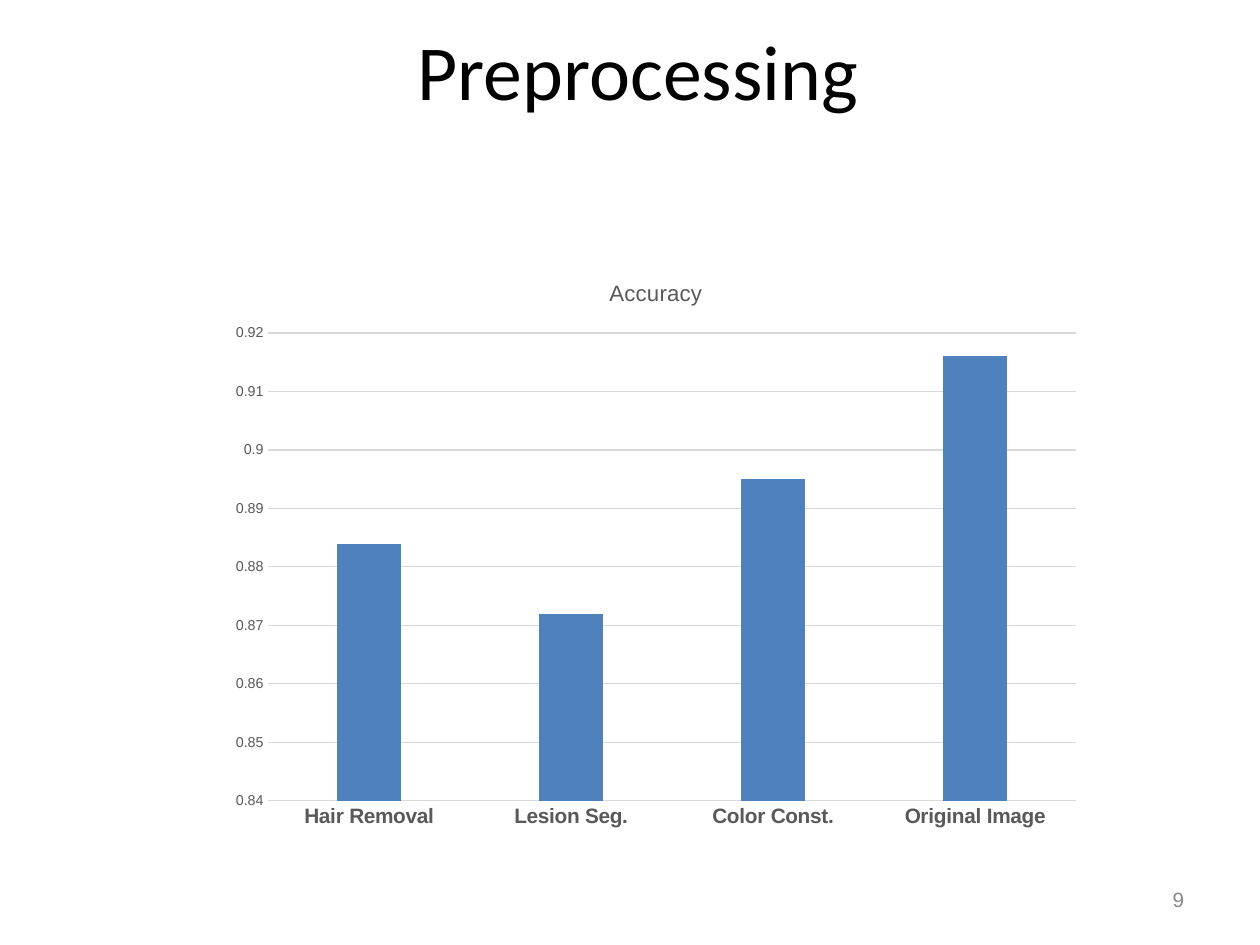
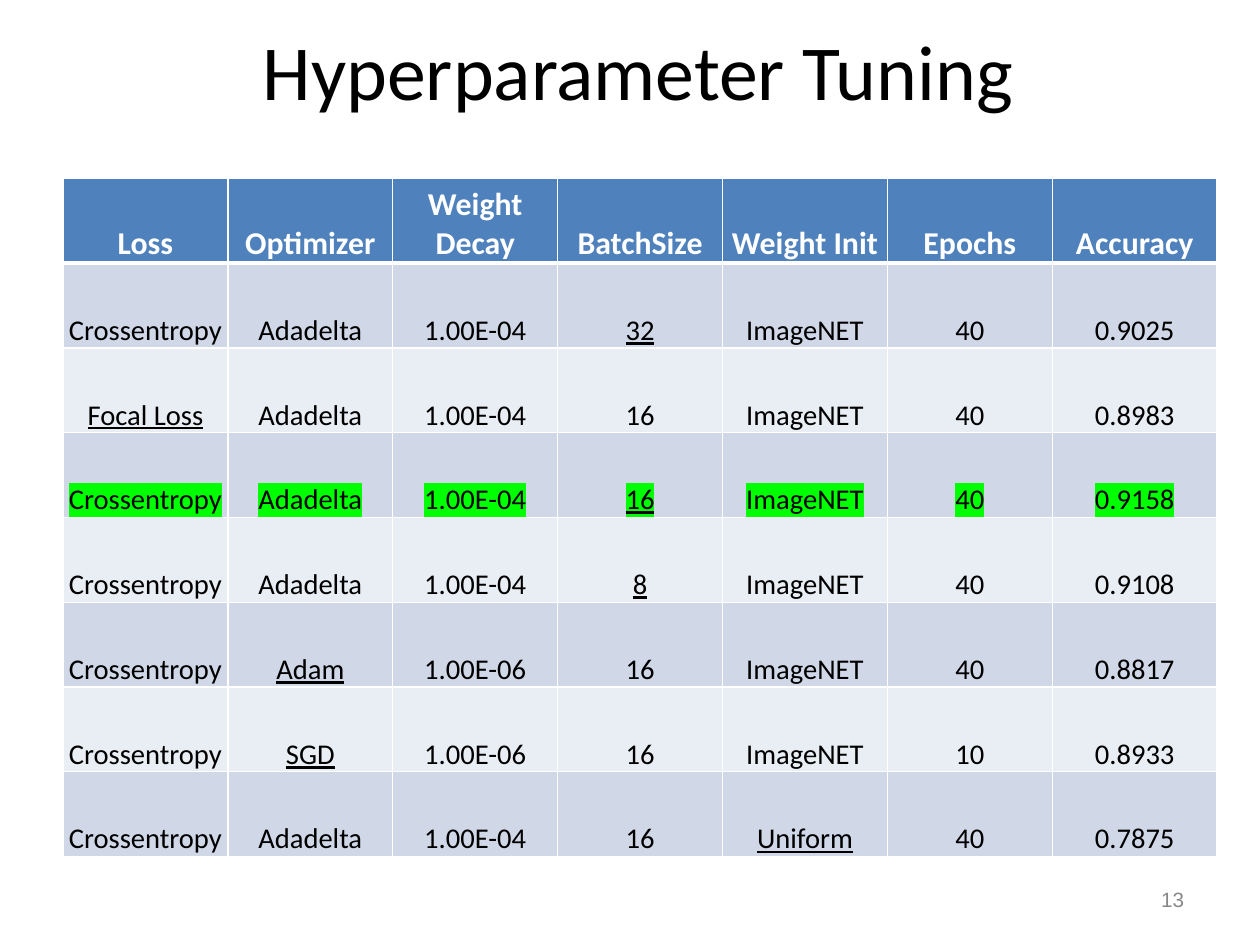
from lxml import etree
from pptx import Presentation
from pptx import util as u
from pptx.chart import data as chart_data
from pptx.dml.color import RGBColor
from pptx.enum import chart as chart_kinds
from pptx.enum import text
from pptx.oxml import ns

WIDTH, HEIGHT = u.Cm(28), u.Cm(21)
COLORS = {
    "page": "FFFFFF",
    "ink": "000000",
    "number": "888888",
    "label": "595959",
    "grid": "D9D9D9",
    "accent": "4F81BD",
    "odd": "D0D8E8",
    "even": "E9EDF4",
    "marker": "00FF00",
}
HEADING, BODY = "Calibri", "Arial"

# Left, top, width and height in percent of the slide
TITLE_AREA = (5.62, 2.42, 90, 9.92)
NUMBER_AREA = (71.66, 92.67, 23.31, 5.32)
CHART_AREA = (17.33, 27.2, 69.46, 61.65)
TABLE_AREA = (5, 18.87, 91.6, 71.8)

ACCURACY = {
    "Hair Removal": 0.884,
    "Lesion Seg.": 0.872,
    "Color Const.": 0.895,
    "Original Image": 0.916,
}
HEADERS = ["Loss", "Optimizer", "Weight Decay", "BatchSize",
           "Weight Init", "Epochs", "Accuracy"]
RUNS = [
    ["Crossentropy", "Adadelta", "1.00E-04", "32", "ImageNET", "40", "0.9025"],
    ["Focal Loss", "Adadelta", "1.00E-04", "16", "ImageNET", "40", "0.8983"],
    ["Crossentropy", "Adadelta", "1.00E-04", "16", "ImageNET", "40", "0.9158"],
    ["Crossentropy", "Adadelta", "1.00E-04", "8", "ImageNET", "40", "0.9108"],
    ["Crossentropy", "Adam", "1.00E-06", "16", "ImageNET", "40", "0.8817"],
    ["Crossentropy", "SGD", "1.00E-06", "16", "ImageNET", "10", "0.8933"],
    ["Crossentropy", "Adadelta", "1.00E-04", "16", "Uniform", "40", "0.7875"],
]
CHANGED_COLUMN = [3, 0, 3, 3, 1, 1, 4]  # the underlined setting of each run
BEST_RUN = 2


def color(name):
    return RGBColor.from_string(COLORS[name])


def place(area):
    """Turn percentages of the slide into lengths."""
    return [round(share * size / 100)
            for share, size in zip(area, (WIDTH, HEIGHT) * 2)]


def style_font(font, size, tone, face, bold=False):
    font.size, font.name, font.bold = u.Pt(size), face, bold
    font.color.rgb = color(tone)


def add_span(para, words, size, tone, face, bold=False):
    span = para.add_run()
    span.text = words
    style_font(span.font, size, tone, face, bold)
    return span


def add_text(page, area, words, size, tone, face, align):
    frame = page.shapes.add_textbox(*place(area)).text_frame
    frame.word_wrap = True
    frame.vertical_anchor = text.MSO_ANCHOR.MIDDLE
    frame.margin_left = frame.margin_right = u.Inches(0.11)
    frame.margin_top = frame.margin_bottom = u.Inches(0.06)
    para = frame.paragraphs[0]
    para.alignment = align
    add_span(para, words, size, tone, face)
    return para


def add_page(deck, title, number):
    page = deck.slides.add_slide(deck.slide_layouts[6])
    page.background.fill.solid()
    page.background.fill.fore_color.rgb = color("page")
    add_text(page, TITLE_AREA, title, 49, "ink", HEADING, text.PP_ALIGN.CENTER)
    para = add_text(page, NUMBER_AREA, str(number), 13, "number", BODY,
                    text.PP_ALIGN.RIGHT)
    para.line_spacing = 0.93
    return page


def style_line(line):
    line.color.rgb = color("grid")
    line.width = u.Pt(0.75)


def add_column_chart(page, title, values):
    data = chart_data.CategoryChartData()
    data.categories = list(values)
    data.add_series(title, list(values.values()))
    chart = page.shapes.add_chart(
        chart_kinds.XL_CHART_TYPE.COLUMN_CLUSTERED, *place(CHART_AREA), data).chart
    style_font(chart.font, 10, "ink", BODY)
    chart.has_legend = False
    chart.has_title = True
    add_span(chart.chart_title.text_frame.paragraphs[0], title, 14, "label", BODY)
    chart.chart_title.include_in_layout = False

    plot = chart.plots[0]
    plot.vary_by_categories = False
    plot.gap_width, plot.overlap = 219, -27
    columns = plot.series[0]
    columns.format.fill.solid()
    columns.format.fill.fore_color.rgb = color("accent")

    names, scale = chart.category_axis, chart.value_axis
    for axis, size, bold in ((names, 13.1, True), (scale, 9, False)):
        style_font(axis.tick_labels.font, size, "label", BODY, bold)
        axis.major_tick_mark = axis.minor_tick_mark = chart_kinds.XL_TICK_MARK.NONE
    style_line(names.format.line)
    scale.format.line.fill.background()
    scale.minimum_scale, scale.maximum_scale, scale.major_unit = 0.84, 0.92, 0.01
    scale.tick_labels.number_format = "General"
    scale.tick_labels.number_format_is_linked = False
    scale.has_major_gridlines = True
    style_line(scale.major_gridlines.format.line)


def add_solid(parent, tag, tone):
    node = etree.SubElement(parent, ns.qn(tag))
    etree.SubElement(node, ns.qn("a:srgbClr"), val=COLORS[tone])
    return node


def set_borders(cell, top, bottom):
    """Draw white cell borders; top and bottom are widths in points."""
    properties = cell._tc.get_or_add_tcPr()
    for side, width in (("L", 1), ("R", 1), ("T", top), ("B", bottom)):
        line = etree.SubElement(properties, ns.qn("a:ln" + side), w=str(u.Pt(width)))
        add_solid(line, "a:solidFill", "page")


def highlight(span):
    properties = span._r.get_or_add_rPr()
    marker = add_solid(properties, "a:highlight", "marker")
    properties.find(ns.qn("a:solidFill")).addnext(marker)


def fill_cell(cell, words, size, tone, fill, bold=False, top=1, bottom=1):
    set_borders(cell, top, bottom)
    cell.fill.solid()
    cell.fill.fore_color.rgb = color(fill)
    cell.vertical_anchor = text.MSO_ANCHOR.BOTTOM
    cell.margin_left = cell.margin_right = cell.margin_top = u.Inches(0.01)
    cell.margin_bottom = 0
    para = cell.text_frame.paragraphs[0]
    para.alignment = text.PP_ALIGN.CENTER
    return add_span(para, words, size, tone, HEADING, bold)


def add_run_table(page):
    table = page.shapes.add_table(
        len(RUNS) + 1, len(HEADERS), *place(TABLE_AREA)).table
    table.first_row = table.horz_banding = False
    for column, header in enumerate(HEADERS):
        fill_cell(table.cell(0, column), header, 20, "page", "accent",
                  bold=True, bottom=3)
    for index, settings in enumerate(RUNS):
        for column, setting in enumerate(settings):
            span = fill_cell(table.cell(index + 1, column), setting, 18, "ink",
                             "even" if index % 2 else "odd",
                             top=1 if index else 3)
            if column == CHANGED_COLUMN[index]:
                span.font.underline = True
            if index == BEST_RUN:
                highlight(span)


def main():
    deck = Presentation()
    deck.slide_width, deck.slide_height = WIDTH, HEIGHT
    add_column_chart(add_page(deck, "Preprocessing", 9), "Accuracy", ACCURACY)
    add_run_table(add_page(deck, "Hyperparameter Tuning", 13))
    deck.save("out.pptx")


if __name__ == "__main__":
    main()
